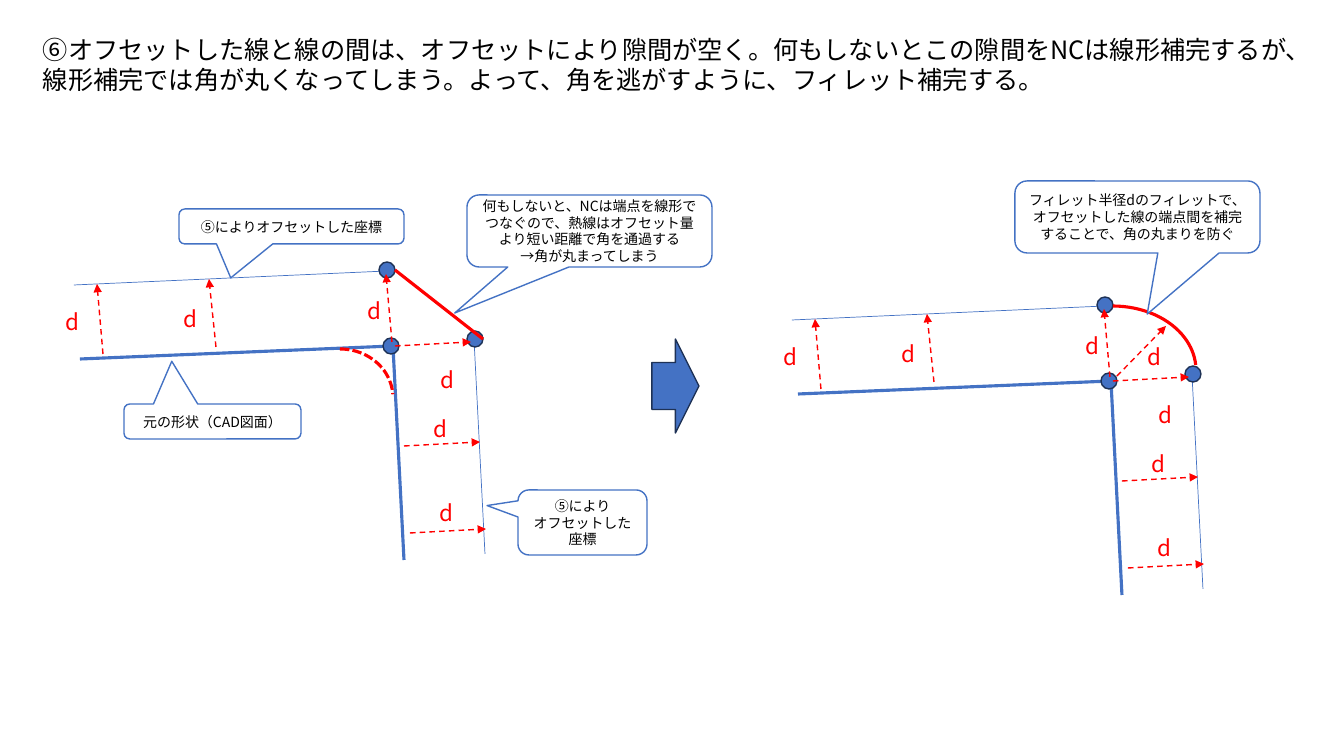
from lxml import etree
from pptx import Presentation, util as u
from pptx.dml.color import RGBColor
from pptx.enum import dml, lang, shapes, text
from pptx.oxml import ns

FONT = "Noto Sans CJK JP"
BLUE, NAVY, RED, BLACK, WHITE = "4472C4", "1E3256", "FF0000", "000000", "FFFFFF"
NO_FILL = None
STEP_X, STEP_Y = 718, 35


def px(length):
    """Turn pixels into EMU."""
    return u.Emu(round(length * 914400 / 100.8))


def colour(hex_text):
    """Turn a hex string into a colour."""
    return RGBColor.from_string(hex_text)


def write(shape, content, size, hex_text, align=text.PP_ALIGN.LEFT):
    """Fill a shape with text in one format."""
    frame = shape.text_frame
    frame.text = content
    frame.word_wrap = True
    for paragraph in frame.paragraphs:
        paragraph.alignment = align
        for run in paragraph.runs:
            run.font.size = u.Pt(size)
            run.font.name = FONT
            run.font.language_id = lang.MSO_LANGUAGE_ID.JAPANESE
            run.font.color.rgb = colour(hex_text)
            east_asian = etree.SubElement(run.font._element, ns.qn("a:ea"))
            east_asian.set("typeface", FONT)


def add_text(slide, box, content, size, hex_text):
    """Add a text box."""
    shape = slide.shapes.add_textbox(*map(px, box))
    write(shape, content, size, hex_text)


def add_line(slide, ends, hex_text, width):
    """Add a straight line without a shadow."""
    line = slide.shapes.add_connector(shapes.MSO_CONNECTOR.STRAIGHT, *map(px, ends))
    line.line.color.rgb = colour(hex_text)
    line.line.width = u.Pt(width)
    etree.SubElement(line._element.spPr, ns.qn("a:effectLst"))
    return line


def add_distance(slide, ends):
    """Add a dashed red arrow."""
    arrow = add_line(slide, ends, RED, 1)
    arrow.line.dash_style = dml.MSO_LINE.DASH
    outline = arrow.line._get_or_add_ln()
    etree.SubElement(outline, ns.qn("a:tailEnd")).set("type", "triangle")


def add_preset(slide, kind, box, fill, line, width=1, adjustments=()):
    """Add a preset shape with its fill, outline and adjustments."""
    shape = slide.shapes.add_shape(kind, *map(px, box))
    shape.shadow.inherit = False
    if fill is NO_FILL:
        shape.fill.background()
    else:
        shape.fill.solid()
        shape.fill.fore_color.rgb = colour(fill)
    shape.line.color.rgb = colour(line)
    shape.line.width = u.Pt(width)
    for index, value in enumerate(adjustments):
        shape.adjustments[index] = value
    return shape


def add_callout(slide, box, tip, content):
    """Add a rounded speech bubble."""
    kind = shapes.MSO_SHAPE.ROUNDED_RECTANGULAR_CALLOUT
    bubble = add_preset(slide, kind, box, WHITE, BLUE, 1, (*tip, 0.167))
    write(bubble, content, 10, BLACK, text.PP_ALIGN.CENTER)
    bubble.text_frame.vertical_anchor = text.MSO_ANCHOR.MIDDLE


def add_arc(slide, box):
    """Add a thick red quarter arc."""
    return add_preset(slide, shapes.MSO_SHAPE.ARC, box, NO_FILL, RED, 2.25, (162, 213.94))


def add_corner(slide, dx, dy):
    """Add the corner with its offset lines, distances and points."""
    def moved(ends):
        return [value + shift for value, shift in zip(ends, (dx, dy, dx, dy))]

    for ends, width in (
        ((80, 359, 393, 346), 2.25), ((404, 560, 393, 346), 2.25),
        ((485, 554, 474, 339), 0.5), ((74, 285, 387, 271), 0.5),
    ):
        add_line(slide, moved(ends), BLUE, width)
    for x, y in ((379, 262), (467, 331), (383, 338)):
        add_preset(slide, shapes.MSO_SHAPE.OVAL, (x + dx, y + dy, 16, 16), BLUE, NAVY)
    for ends in (
        (103, 354, 97, 284), (216, 347, 209, 279), (392, 342, 386, 274),
        (395, 346, 471, 342), (404, 446, 480, 442), (410, 533, 486, 529),
    ):
        add_distance(slide, moved(ends))
    for x, y in ((56, 303), (174, 300), (358, 292), (431, 361), (424, 410), (430, 494)):
        add_text(slide, (x + dx, y + dy, 84, 37), "d", 16, RED)


def main():
    """Build the slide and save it."""
    presentation = Presentation()
    presentation.slide_width, presentation.slide_height = px(1344), px(756)
    slide = presentation.slides.add_slide(presentation.slide_layouts[6])

    add_text(slide, (33, 29, 1276, 72),
             "⑥オフセットした線と線の間は、オフセットにより隙間が空く。何もしないとこの隙間をNCは線形補完するが、\n"
             "線形補完では角が丸くなってしまう。よって、角を逃がすように、フィレット補完する。", 18, BLACK)

    add_corner(slide, 0, 0)
    add_line(slide, (395, 270, 483, 339), RED, 2.25)
    rounded_corner = add_arc(slide, (287, 349, 106, 97))
    rounded_corner.line.dash_style = dml.MSO_LINE.SQUARE_DOT

    add_preset(slide, shapes.MSO_SHAPE.RIGHT_ARROW, (652, 339, 47, 94), BLUE, NAVY)

    add_corner(slide, STEP_X, STEP_Y)
    add_arc(slide, (1030, 306, 166, 128))
    add_distance(slide, (1117, 376, 1166, 326))
    add_text(slide, (1138, 338, 84, 37), "d", 16, RED)

    for box, tip, content in (
        ((124, 404, 177, 35), (-0.23, -1.72), "元の形状（CAD図面）"),
        ((179, 209, 225, 35), (-0.27, 1.47), "⑤によりオフセットした座標"),
        ((518, 490, 129, 65), (-0.74, -0.26), "⑤により\nオフセットした座標"),
        ((467, 195, 245, 72), (-0.55, 1.14),
         "何もしないと、NCは端点を線形でつなぐので、熱線はオフセット量より短い距離で角を通過する\n→角が丸まってしまう"),
        ((1015, 181, 245, 72), (0.04, 1.35),
         "フィレット半径dのフィレットで、\nオフセットした線の端点間を補完することで、角の丸まりを防ぐ"),
    ):
        add_callout(slide, box, tip, content)

    presentation.save("out.pptx")


if __name__ == "__main__":
    main()
